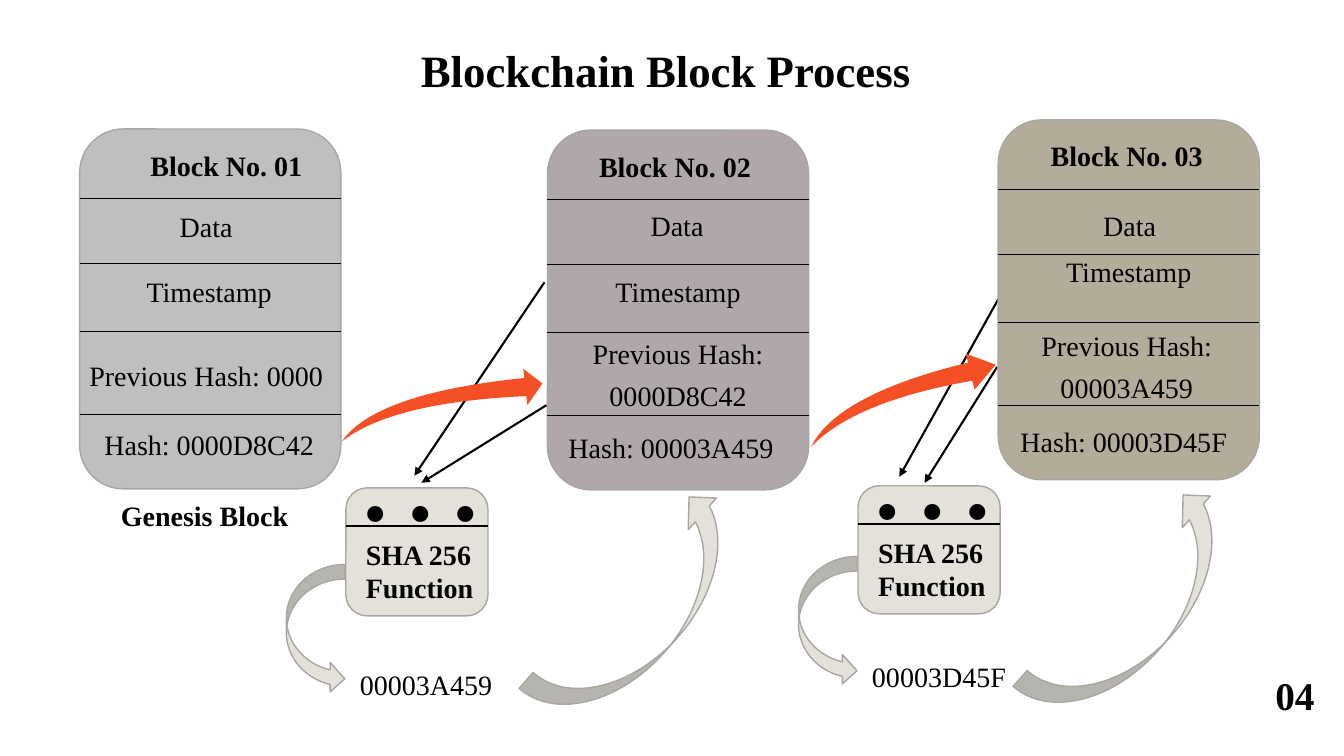
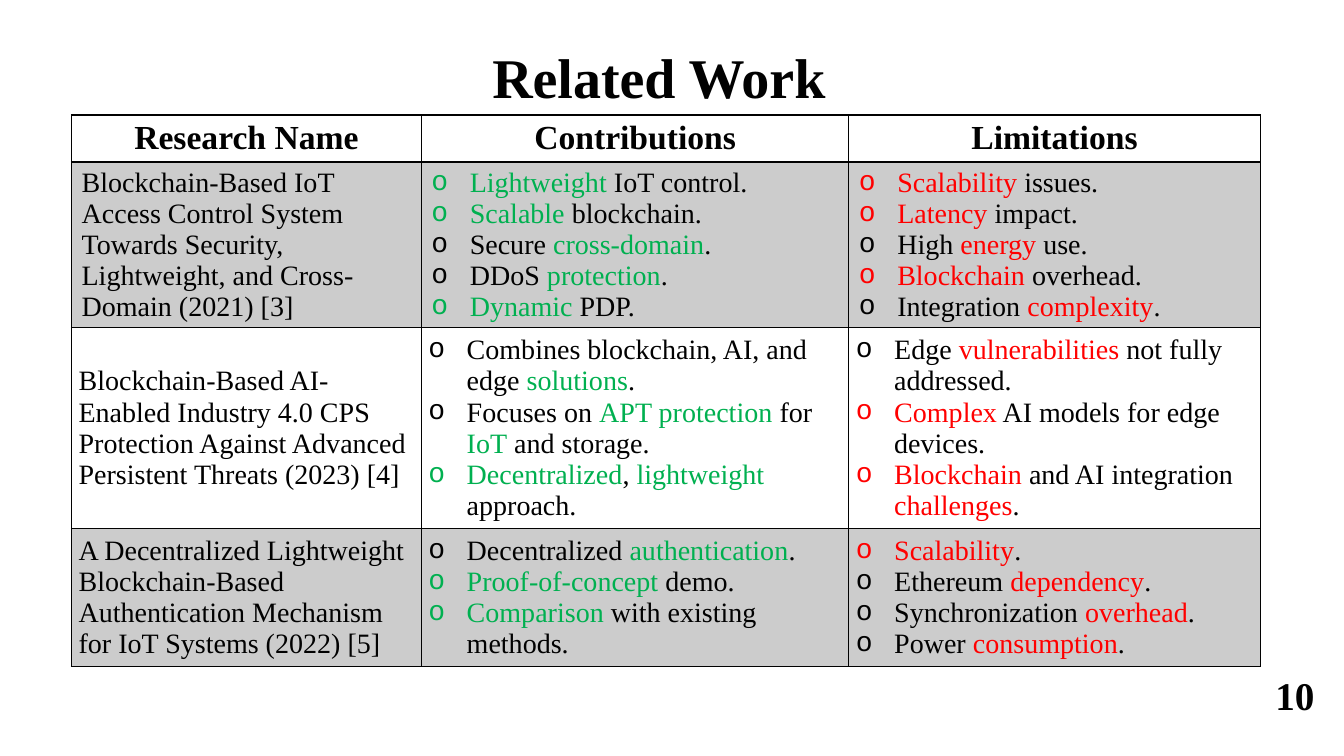
from lxml import etree
from pptx import Presentation
from pptx.dml.color import RGBColor
from pptx.enum import shapes, text
from pptx.oxml.ns import qn
from pptx.util import Inches, Pt

INK = RGBColor(0x01, 0x01, 0x01)
OUTLINE = RGBColor(0xA9, 0xA6, 0xA2)
GRAY = RGBColor(0xBF, 0xBF, 0xBF)
MAUVE = RGBColor(0xB0, 0xA7, 0xAD)
KHAKI = RGBColor(0xB4, 0xAC, 0x9B)
STONE = RGBColor(0xE4, 0xE1, 0xDB)
ORANGE = RGBColor(0xF5, 0x50, 0x25)
GREEN = RGBColor(0x00, 0xB0, 0x50)
RED = RGBColor(0xFF, 0x00, 0x00)

FONT = "Times New Roman"
BULLET_FONT = "Courier New"
CENTER = text.PP_ALIGN.CENTER
LEFT = text.PP_ALIGN.LEFT
SHAPE = shapes.MSO_SHAPE

BLOCK_WIDTH, BLOCK_HEIGHT = 2.59, 3.57
BLOCK_DIVIDERS = (0.69, 1.33, 2.01, 2.83)
HASH_WIDTH, HASH_HEIGHT = 1.41, 1.27


class Board:
    """Holds the shared style, the deck and the slide being filled."""

    def __init__(self):
        self.deck = Presentation()
        self.deck.slide_width = Inches(13.33)
        self.deck.slide_height = Inches(7.5)
        self.page = None

    def new_page(self, title, number, size, at):
        self.page = self.deck.slides.add_slide(self.deck.slide_layouts[5])
        box = self.page.shapes.title
        box.left, box.top, box.width, box.height = map(Inches, at)
        self.fill_text(box.text_frame, [title], size, True, CENTER)
        self.label([number], 12.55, 6.61, 0.75, 0.57, 28, True)

    def span(self, para, words, size, bold=False, color=INK):
        run = para.add_run()
        run.text = words
        run.font.name = FONT
        run.font.size = Pt(size)
        run.font.bold = bold
        run.font.color.rgb = color

    def fill_text(self, frame, lines, size, bold=False, align=LEFT, gap=0):
        """Put each line in its own paragraph, with gap points between them."""
        frame.word_wrap = True
        frame.auto_size = text.MSO_AUTO_SIZE.NONE
        for index, line in enumerate(lines):
            para = frame.add_paragraph() if index else frame.paragraphs[0]
            para.alignment = align
            para.space_before = Pt(gap if index else 0)
            self.span(para, line, size, bold)

    def label(self, lines, left, top, width, height=0.44, size=20,
              bold=False, align=LEFT, gap=0):
        box = self.page.shapes.add_textbox(
            Inches(left), Inches(top), Inches(width), Inches(height))
        self.fill_text(box.text_frame, lines, size, bold, align, gap)

    def shape(self, kind, left, top, width, height, fill, line=OUTLINE,
              turn=0, adjust=()):
        shape = self.page.shapes.add_shape(
            kind, Inches(left), Inches(top), Inches(width), Inches(height))
        shape.shadow.inherit = False
        shape.fill.solid()
        shape.fill.fore_color.rgb = fill
        if line is None:
            shape.line.fill.background()
        else:
            shape.line.color.rgb = line
            shape.line.width = Pt(1)
        shape.rotation = turn
        for index, value in enumerate(adjust):
            shape.adjustments[index] = value

    def line(self, x1, y1, x2, y2, weight=0.5, arrow=False):
        line = self.page.shapes.add_connector(
            shapes.MSO_CONNECTOR.STRAIGHT,
            Inches(x1), Inches(y1), Inches(x2), Inches(y2))
        line.line.color.rgb = INK
        line.line.width = Pt(weight)
        props = line.element.spPr
        if arrow:
            etree.SubElement(props.find(qn("a:ln")), qn("a:tailEnd"),
                             type="triangle")
        etree.SubElement(props, qn("a:effectLst"))

    def block(self, left, top, fill, labels):
        """Draw a ledger block; each label is (lines, shift right, drop)."""
        self.shape(SHAPE.ROUNDED_RECTANGLE, left, top,
                   BLOCK_WIDTH, BLOCK_HEIGHT, fill)
        for drop in BLOCK_DIVIDERS:
            self.line(left, top + drop, left + BLOCK_WIDTH, top + drop)
        for index, (lines, shift, drop) in enumerate(labels):
            self.label(lines, left + shift, top + drop, BLOCK_WIDTH,
                       0.44 * len(lines), bold=index == 0,
                       align=CENTER, gap=6)

    def hash_function(self, left, top, result, result_top, return_left):
        """Draw the function box, its result and the two curved arrows."""
        self.shape(SHAPE.ROUNDED_RECTANGLE, left, top,
                   HASH_WIDTH, HASH_HEIGHT, STONE)
        self.line(left, top + 0.38, left + HASH_WIDTH, top + 0.38, 1.5)
        self.label(["…"], left - 0.02, top - 1.06, 1.75, 1.72, 96)
        self.label(["SHA 256", "Function"], left + 0.1, top + 0.44,
                   1.39, 0.77, bold=True)
        self.label([result], left + 0.04, result_top, 1.61)
        self.shape(SHAPE.CURVED_RIGHT_ARROW, left - 0.59, result_top - 0.97,
                   0.58, 1.28, STONE)
        self.shape(SHAPE.CURVED_UP_ARROW, return_left, top + 0.82,
                   2.75, 0.84, STONE, turn=311.6)

    def border(self, cell, bottom):
        props = cell._tc.get_or_add_tcPr()
        for side in "LRTB":
            weight = bottom if side == "B" else 1
            edge = etree.SubElement(props, qn(f"a:ln{side}"),
                                    w=str(Pt(weight)))
            paint = etree.SubElement(edge, qn("a:solidFill"))
            etree.SubElement(paint, qn("a:srgbClr"), val=str(INK))

    def shade(self, cell, tinted):
        if not tinted:
            cell.fill.background()
            return
        cell.fill.solid()
        cell.fill.fore_color.rgb = INK
        color = cell._tc.tcPr.find(qn("a:solidFill")).find(qn("a:srgbClr"))
        etree.SubElement(color, qn("a:alpha"), val="20000")

    def bullets(self, frame, items, accent):
        """Fill a bulleted list; words between asterisks take the accent."""
        for index, item in enumerate(items):
            para = frame.add_paragraph() if index else frame.paragraphs[0]
            props = para._p.get_or_add_pPr()
            props.set("marL", str(Inches(0.38)))
            props.set("indent", str(-Inches(0.38)))
            etree.SubElement(props, qn("a:buFont"), typeface=BULLET_FONT)
            etree.SubElement(props, qn("a:buChar"), char="o")
            for part, words in enumerate(item.split("*")):
                if words:
                    self.span(para, words, 20,
                              color=accent if part % 2 else INK)

    def table(self, left, top, widths, heights, header, rows):
        table = self.page.shapes.add_table(
            len(heights), len(widths), Inches(left), Inches(top),
            Inches(sum(widths)), Inches(sum(heights))).table
        table.first_row = table.horz_banding = False
        for column, width in zip(table.columns, widths):
            column.width = Inches(width)
        for row, height in zip(table.rows, heights):
            row.height = Inches(height)
        for r, values in enumerate([header, *rows]):
            side, edge = (0.1, 0.05) if r < 2 else (0.07, 0.07)
            for c, value in enumerate(values):
                cell = table.cell(r, c)
                cell.margin_left = cell.margin_right = Inches(side)
                cell.margin_top = cell.margin_bottom = Inches(edge)
                cell.vertical_anchor = text.MSO_ANCHOR.MIDDLE
                self.border(cell, 1 if r else 2)
                self.shade(cell, r % 2 == 1)
                para = cell.text_frame.paragraphs[0]
                if r == 0:
                    para.alignment = CENTER
                    self.span(para, value, 24, True)
                elif c == 0:
                    self.span(para, value, 20)
                else:
                    self.bullets(cell.text_frame, value, (GREEN, RED)[c - 1])


def block_process(board):
    board.new_page("Blockchain Block Process", "04", 32,
                   (2.72, 0.37, 7.77, 0.64))
    board.block(5.43, 1.29, MAUVE, [
        (["Block No. 02"], -0.03, 0.14),
        (["Data"], -0.01, 0.73),
        (["Timestamp"], 0, 1.38),
        (["Previous Hash:", "0000D8C42"], 0, 2),
        (["Hash: 00003A459"], -0.07, 2.93)])
    board.hash_function(3.43, 4.84, "00003A459", 6.57, 5)
    board.hash_function(8.51, 4.82, "00003D45F", 6.49, 9.9)
    for ends in ((5.4, 2.8, 4.11, 4.72), (5.42, 4.02, 4.18, 4.79),
                 (9.9, 2.97, 8.92, 4.73), (9.89, 3.64, 9.17, 4.79)):
        board.line(*ends, weight=1.5, arrow=True)
    board.shape(SHAPE.SWOOSH_ARROW, 3.39, 3.66, 1.99, 0.72, ORANGE, None,
                adjust=(0.25, 0.25))
    board.shape(SHAPE.SWOOSH_ARROW, 7.99, 3.59, 1.92, 0.73, ORANGE, None,
                turn=352.9, adjust=(0.25, 0.37))
    board.block(0.79, 1.28, GRAY, [
        (["Block No. 01"], 0.16, 0.14),
        (["Data"], -0.04, 0.75),
        (["Timestamp"], -0.01, 1.39),
        (["Previous Hash: 0000"], -0.04, 2.23),
        (["Hash: 0000D8C42"], -0.01, 2.91)])
    board.label(["Genesis Block"], 1.1, 4.9, 1.96, bold=True)
    board.block(9.9, 1.19, KHAKI, [
        (["Block No. 03"], -0.02, 0.14),
        (["Data"], 0.01, 0.83),
        (["Timestamp"], 0, 1.29),
        (["Previous Hash:", "00003A459"], -0.02, 2.02),
        (["Hash: 00003D45F"], -0.05, 2.97)])


def related_work(board):
    board.new_page("Related Work", "10", 40, (0.63, 0.37, 11.81, 0.77))
    board.table(
        0.71, 1.14, (3.47, 4.24, 4.08), (0.47, 1.64, 1.99, 1.37),
        ("Research Name", "Contributions", "Limitations"),
        [("Blockchain-Based IoT Access Control System Towards Security, "
          "Lightweight, and Cross-Domain (2021) [3]",
          ["*Lightweight* IoT control.", "*Scalable* blockchain.",
           "Secure *cross-domain*.", "DDoS *protection*.", "*Dynamic* PDP."],
          ["*Scalability* issues.", "*Latency* impact.",
           "High *energy* use.", "*Blockchain* overhead.",
           "Integration *complexity*."]),
         ("Blockchain-Based AI-Enabled Industry 4.0 CPS Protection Against "
          "Advanced Persistent Threats (2023) [4]",
          ["Combines blockchain, AI, and edge *solutions*.",
           "Focuses on *APT protection* for *IoT* and storage.",
           "*Decentralized*, *lightweight* approach."],
          ["Edge *vulnerabilities* not fully addressed.",
           "*Complex* AI models for edge devices.",
           "*Blockchain* and AI integration *challenges*."]),
         ("A Decentralized Lightweight Blockchain-Based Authentication "
          "Mechanism for IoT Systems (2022) [5]",
          ["Decentralized *authentication*.", "*Proof-of-concept* demo.",
           "*Comparison* with existing methods."],
          ["*Scalability*.", "Ethereum *dependency*.",
           "Synchronization *overhead*.", "Power *consumption*."])])


def main():
    board = Board()
    block_process(board)
    related_work(board)
    board.deck.save("out.pptx")


if __name__ == "__main__":
    main()
